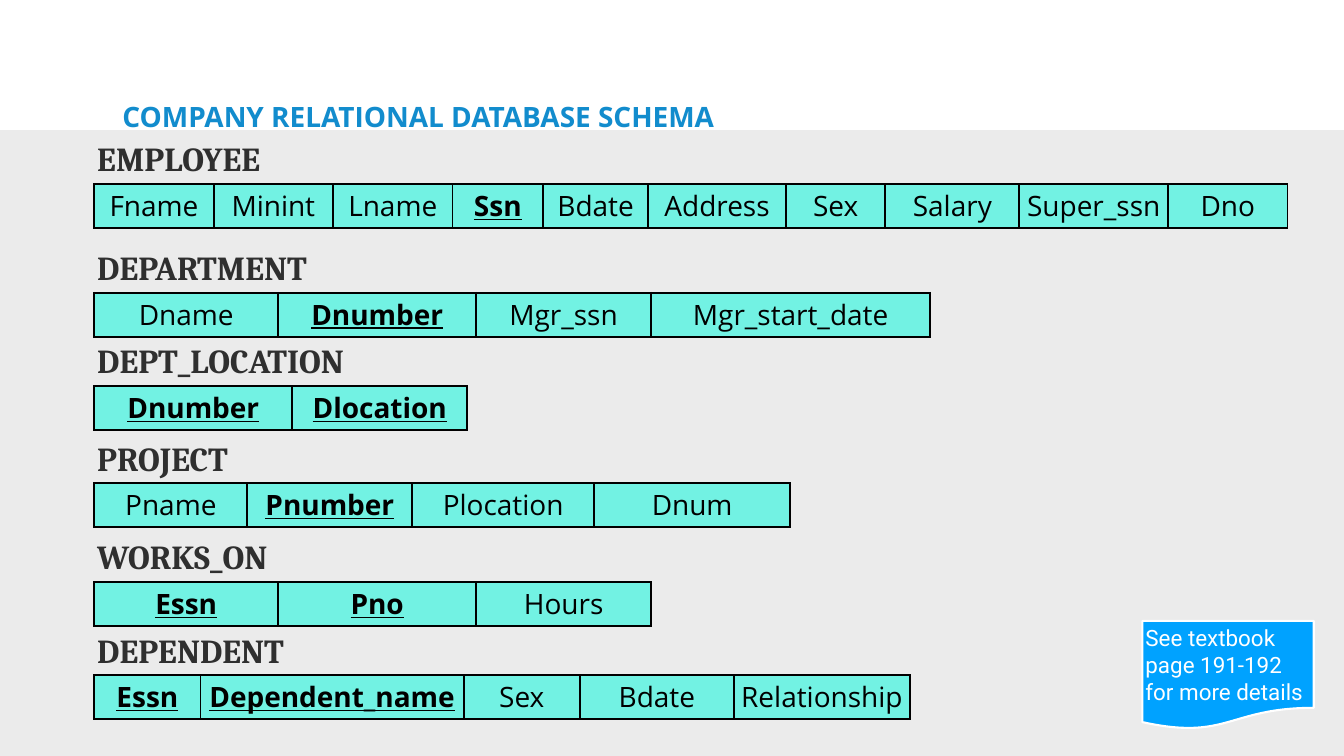
import pptx
import pptx.util
import pptx.oxml
import pptx.dml.color
import pptx.enum.shapes
import pptx.enum.text
from lxml import etree

WIDE, HIGH = 26.67, 15
LEFT, ROW, RISE = 1.87, 0.87, 0.88
BAND = 2.58
TITLE = "COMPANY RELATIONAL DATABASE SCHEMA"
NOTE = ["See textbook page 191-192", "for more details"]

# Relation, top of its row, fields with widths; * marks a key field
SCHEMA = [
    ("EMPLOYEE", 3.65, [
        ("Fname", 2.37), ("Minint", 2.37), ("Lname", 2.37), ("*Ssn", 1.8),
        ("Bdate", 2.08), ("Address", 2.74), ("Sex", 1.97),
        ("Salary", 2.66), ("Super_ssn", 2.95), ("Dno", 2.37)]),
    ("DEPARTMENT", 5.81, [
        ("Dname", 3.65), ("*Dnumber", 3.93), ("Mgr_ssn", 3.47),
        ("Mgr_start_date", 5.54)]),
    ("DEPT_LOCATION", 7.66, [("*Dnumber", 3.93), ("*Dlocation", 3.47)]),
    ("PROJECT", 9.59, [
        ("Pname", 3.04), ("*Pnumber", 3.27), ("Plocation", 3.61),
        ("Dnum", 3.89)]),
    ("WORKS_ON", 11.55, [("*Essn", 3.65), ("*Pno", 3.93), ("Hours", 3.47)]),
    ("DEPENDENT", 13.4, [
        ("*Essn", 2.11), ("*Dependent_name", 5.22), ("Sex", 2.31),
        ("Bdate", 3.05), ("Relationship", 3.5)]),
]

PT = pptx.util.Pt
ALIGN = pptx.enum.text.PP_ALIGN
ANCHOR = pptx.enum.text.MSO_ANCHOR
SHAPE = pptx.enum.shapes.MSO_SHAPE
HEAD = dict(size=PT(40), name="Open Sans", bold=True)
LABEL = dict(size=PT(48), name="Cambria", bold=True)
FIELD = dict(size=PT(40), name="Open Sans")
ASIDE = dict(size=PT(32), name="Roboto")
INSET = {f"margin_{side}": pptx.util.Inches(0.06)
         for side in ("left", "top", "right", "bottom")}


def place(*nums):
    return [pptx.util.Inches(num) for num in nums]


def paint(color, code):
    color.rgb = pptx.dml.color.RGBColor.from_string(code)


def apply(thing, values):
    for name, value in values.items():
        setattr(thing, name, value)


def write(frame, lines, font, code, anchor=ANCHOR.TOP, **layout):
    apply(frame, INSET | dict(word_wrap=True, vertical_anchor=anchor))
    for num, line in enumerate(lines):
        para = frame.add_paragraph() if num else frame.paragraphs[0]
        para.text = line
        apply(para, dict(alignment=ALIGN.LEFT) | layout)
        apply(para.runs[0].font, font)
        paint(para.runs[0].font.color, code)


def draw(slide, kind, box, code):
    shape = slide.shapes.add_shape(kind, *place(*box))
    shape.shadow.inherit = False
    shape.fill.solid()
    paint(shape.fill.fore_color, code)
    shape.line.fill.background()
    return shape


def edge(cell, code, width):
    """Draw all four borders of a cell."""
    props = cell._tc.get_or_add_tcPr()
    for num, side in enumerate("LRTB"):
        line = etree.Element(pptx.oxml.ns.qn(f"a:ln{side}"), w=str(PT(width)))
        fill = etree.SubElement(line, pptx.oxml.ns.qn("a:solidFill"))
        etree.SubElement(fill, pptx.oxml.ns.qn("a:srgbClr"), val=code)
        props.insert(num, line)


def relate(slide, name, top, fields):
    """Add a relation: its label and the row of fields below."""
    label = slide.shapes.add_textbox(*place(LEFT, top - RISE, 5.4, ROW))
    write(label.text_frame, [name], LABEL, "2F2F2F", line_spacing=0.9)
    total = sum(width for _, width in fields)
    table = slide.shapes.add_table(
        1, len(fields), *place(LEFT, top, total, ROW)).table
    apply(table, dict(first_row=False, horz_banding=False))
    for col, (field, width) in enumerate(fields):
        table.columns[col].width = pptx.util.Inches(width)
        cell = table.cell(0, col)
        cell.fill.solid()
        paint(cell.fill.fore_color, "72F2E3")
        edge(cell, "000000", 3)
        para = cell.text_frame.paragraphs[0]
        para.text = field.lstrip("*")
        para.alignment = ALIGN.CENTER
        key = field.startswith("*")
        font = para.runs[0].font
        apply(font, FIELD | dict(bold=key, underline=key))
        paint(font.color, "000000")


def main():
    deck = pptx.Presentation()
    deck.slide_width, deck.slide_height = place(WIDE, HIGH)
    slide = deck.slides.add_slide(deck.slide_layouts[5])

    title = slide.shapes.title
    spots = ("left", "top", "width", "height")
    apply(title, dict(zip(spots, place(2.37, 2.05, 16.09, 0.56))))
    write(title.text_frame, [TITLE], HEAD, "128CCD", line_spacing=0.8)
    title.text_frame.auto_size = pptx.enum.text.MSO_AUTO_SIZE.NONE

    band = draw(slide, SHAPE.RECTANGLE, (0, BAND, WIDE, HIGH - BAND), "EBEBEB")
    title._element.addprevious(band._element)

    for name, top, fields in SCHEMA:
        relate(slide, name, top, fields)

    note = draw(slide, SHAPE.FLOWCHART_DOCUMENT,
                (22.67, 12.32, 3.4, 2.15), "00A2FF")
    note.line.fill.solid()
    paint(note.line.color, "FFFFFF")
    note.line.width = PT(3)
    write(note.text_frame, NOTE, ASIDE, "FFFFFF", ANCHOR.MIDDLE)
    deck.save("out.pptx")


if __name__ == "__main__":
    main()
